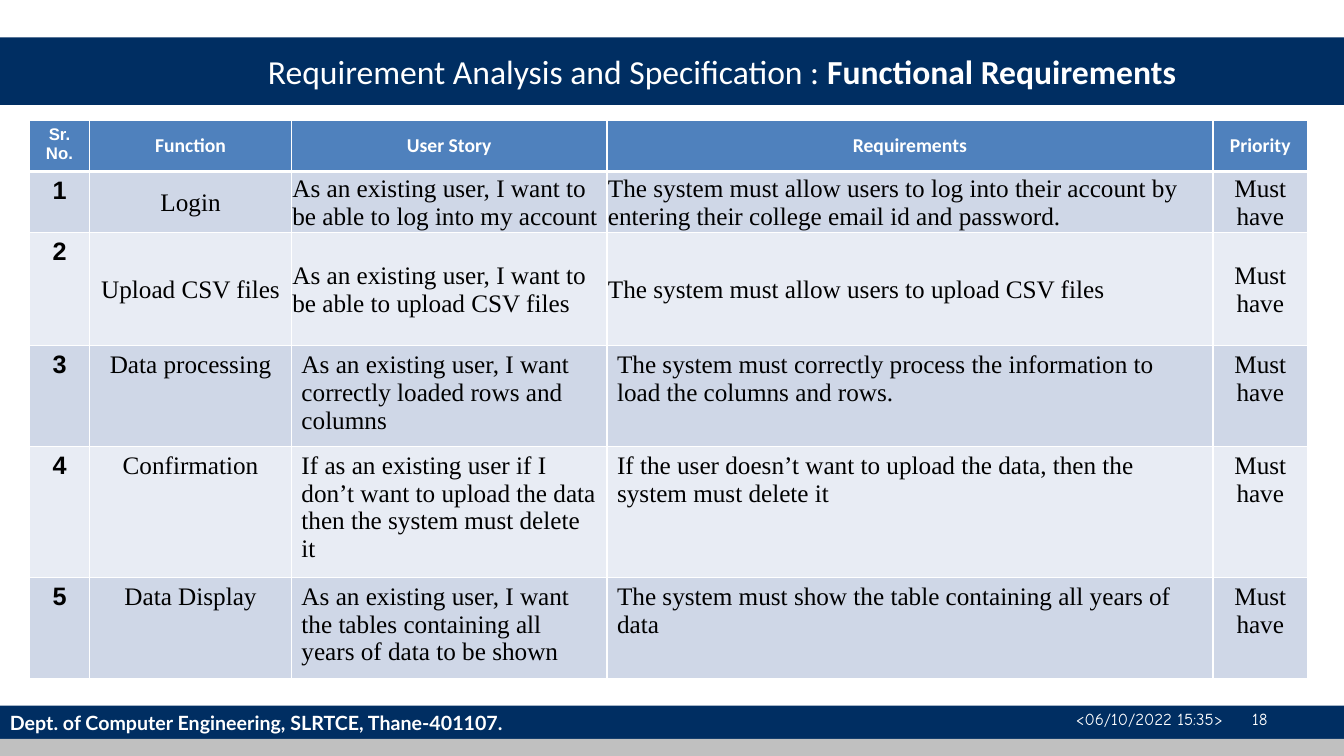
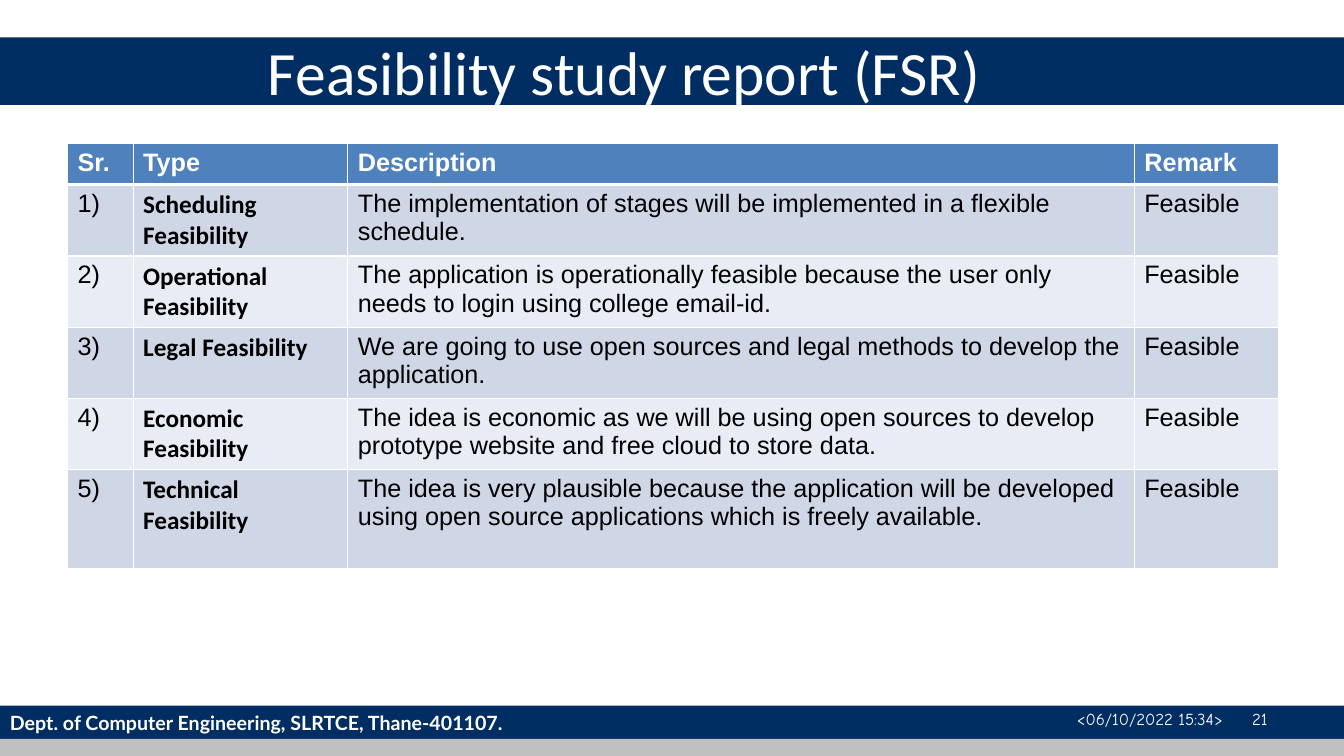
from pptx import Presentation, util as u
from pptx.dml.color import RGBColor
from pptx.enum import shapes, text
from pptx.oxml import parse_xml
from pptx.oxml.ns import nsdecls

PX = 9144  # one hundredth of an inch
WIDE, HIGH = 1333, 750
NAVY, GREY, WHITE, BLACK = "002E62", "C0C0C0", "FFFFFF", "000000"
HEAD, BANDS = "4F81BD", ("CFD7E7", "E8ECF4")
ROOMY, TIGHT = (10, 5, 10, 5), (1, 1, 1, 0)
LEFT, MID, RIGHT = text.PP_ALIGN.LEFT, text.PP_ALIGN.CENTER, text.PP_ALIGN.RIGHT
TOP, HALF = text.MSO_ANCHOR.TOP, text.MSO_ANCHOR.MIDDLE

NEEDS = [
    ("Sr. No.", "Function", "User Story", "Requirements", "Priority"),
    ("1", "Login", "As an existing user, I want to be able to log into my account",
     "The system must allow users to log into their account by entering their "
     "college email id and password.", "Must have"),
    ("2", "Upload CSV files",
     "As an existing user, I want to be able to upload CSV files",
     "The system must allow users to upload CSV files", "Must have"),
    ("3", "Data processing",
     "As an existing user, I want correctly loaded rows and columns",
     "The system must correctly process the information to load the columns "
     "and rows.", "Must have"),
    ("4", "Confirmation",
     "If as an existing user if I don’t want to upload the data then the system "
     "must delete it",
     "If the user doesn’t want to upload the data, then the system must delete it",
     "Must have"),
    ("5", "Data Display",
     "As an existing user, I want the tables containing all years of data to be "
     "shown",
     "The system must show the table containing all years of data", "Must have"),
]

STUDY = [
    ("Sr.", "Type", "Description", "Remark"),
    ("1)", "Scheduling Feasibility",
     "The implementation of stages will be implemented in a flexible schedule.",
     "Feasible"),
    ("2)", "Operational Feasibility",
     "The application is operationally feasible because the user only needs to "
     "login using college email-id.", "Feasible"),
    ("3)", "Legal Feasibility",
     "We are going to use open sources and legal methods to develop the "
     "application.", "Feasible"),
    ("4)", "Economic Feasibility",
     "The idea is economic as we will be using open sources to develop prototype "
     "website and free cloud to store data.", "Feasible"),
    ("5)", "Technical Feasibility",
     "The idea is very plausible because the application will be developed using "
     "open source applications which is freely available.", "Feasible"),
]


def px(n):
    return u.Emu(n * PX)


def color(code):
    return RGBColor.from_string(code)


def write(frame, *runs, size=18, face="Arial", ink=BLACK, bold=False, align=LEFT):
    """Fill one paragraph; a run is a string or a (string, bold) pair."""
    para = frame.paragraphs[0]
    para.alignment = align
    for item in runs:
        words, heavy = (item, bold) if isinstance(item, str) else item
        run = para.add_run()
        run.text = words
        font = run.font
        font.size, font.name, font.bold = u.Pt(size), face, heavy
        font.color.rgb = color(ink)


def pad(box, sides):
    (box.margin_left, box.margin_top,
     box.margin_right, box.margin_bottom) = map(px, sides)


def band(slide, top, high, fill):
    shape = slide.shapes.add_shape(
        shapes.MSO_SHAPE.RECTANGLE, 0, px(top), px(WIDE), px(high))
    shape.shadow.inherit = False
    shape.fill.solid()
    shape.fill.fore_color.rgb = color(fill)
    shape.line.fill.background()
    return shape


def label(slide, at, *runs, **style):
    frame = slide.shapes.add_textbox(*map(px, at)).text_frame
    frame.word_wrap = True
    frame.vertical_anchor = HALF
    pad(frame, ROOMY)
    write(frame, *runs, ink=WHITE, **style)


def page(deck, title, size, date, number):
    """Add a slide with its bands, title and footer."""
    slide = deck.slides.add_slide(deck.slide_layouts[6])
    foot = band(slide, 700, 33, NAVY).text_frame
    foot.vertical_anchor = HALF
    pad(foot, ROOMY)
    write(foot, "Dept. of Computer Engineering, SLRTCE, Thane-401107.",
          size=14, face="Lato", ink=WHITE, bold=True)
    band(slide, 37, 67, NAVY)
    band(slide, 733, 17, GREY)
    label(slide, (256, 8, 1056, 125), *title, size=size, face="Calibri")
    # Date and page number
    for left, wide, words in ((956, 267, date), (1223, 44, number)):
        label(slide, (left, 693, wide, 40), words,
              size=12, face="Comic Neue", align=RIGHT)
    return slide


def edge(cell, row):
    """Draw white cell borders, thicker under the header row."""
    widths = {"L": 1, "R": 1, "T": 3 if row == 1 else 1, "B": 1 if row else 3}
    props = cell._tc.get_or_add_tcPr()
    for side, points in widths.items():
        props.append(parse_xml(
            f'<a:ln{side} {nsdecls("a")} w="{u.Pt(points)}"><a:solidFill>'
            f'<a:srgbClr val="{WHITE}"/></a:solidFill></a:ln{side}>'))


def grid(slide, left, top, cols, rows, data, style):
    """Add a table; style(row, col) gives text format, insets and anchor."""
    table = slide.shapes.add_table(
        len(rows), len(cols), px(left), px(top), px(sum(cols)), px(sum(rows))).table
    for col, wide in zip(table.columns, cols):
        col.width = px(wide)
    for row, high in zip(table.rows, rows):
        row.height = px(high)
    for r, line in enumerate(data):
        for c, words in enumerate(line):
            cell = table.cell(r, c)
            look, sides, anchor = style(r, c)
            edge(cell, r)
            cell.fill.solid()
            cell.fill.fore_color.rgb = color(BANDS[(r - 1) % 2] if r else HEAD)
            pad(cell, sides)
            cell.vertical_anchor = anchor
            write(cell.text_frame, words, ink=BLACK if r else WHITE, **look)


def needs(r, c):
    look = {"align": LEFT if r and c in (2, 3) else MID, "bold": r == 0 or c == 0}
    if c == 0:
        look.update(size=18 if r else 12)
    elif r == 0:
        look.update(size=14, face="Calibri")
    else:
        look.update(face="Times New Roman")
    return (look, TIGHT, HALF) if c and r < 3 else (look, ROOMY, TOP)


def study(r, c):
    kind = r > 0 and c == 1
    look = {"face": "Calibri" if kind else "Arial", "bold": r == 0 or kind}
    return look, ROOMY, TOP


def main():
    deck = Presentation()
    deck.slide_width, deck.slide_height = px(WIDE), px(HIGH)

    # Functional requirements
    title = ("Requirement Analysis and Specification : ",
             ("Functional Requirements", True))
    slide = page(deck, title, 24, "<06/10/2022 15:35>", "18")
    grid(slide, 29, 119, (60, 200, 313, 601, 94), (51, 57, 112, 93, 121, 93),
         NEEDS, needs)

    # Feasibility study
    slide = page(deck, ("Feasibility study report (FSR)",), 44,
                 "<06/10/2022 15:34>", "21")
    grid(slide, 67, 142, (65, 213, 780, 143), (41, 71, 71, 66, 71, 98),
         STUDY, study)

    deck.save("out.pptx")


if __name__ == "__main__":
    main()
